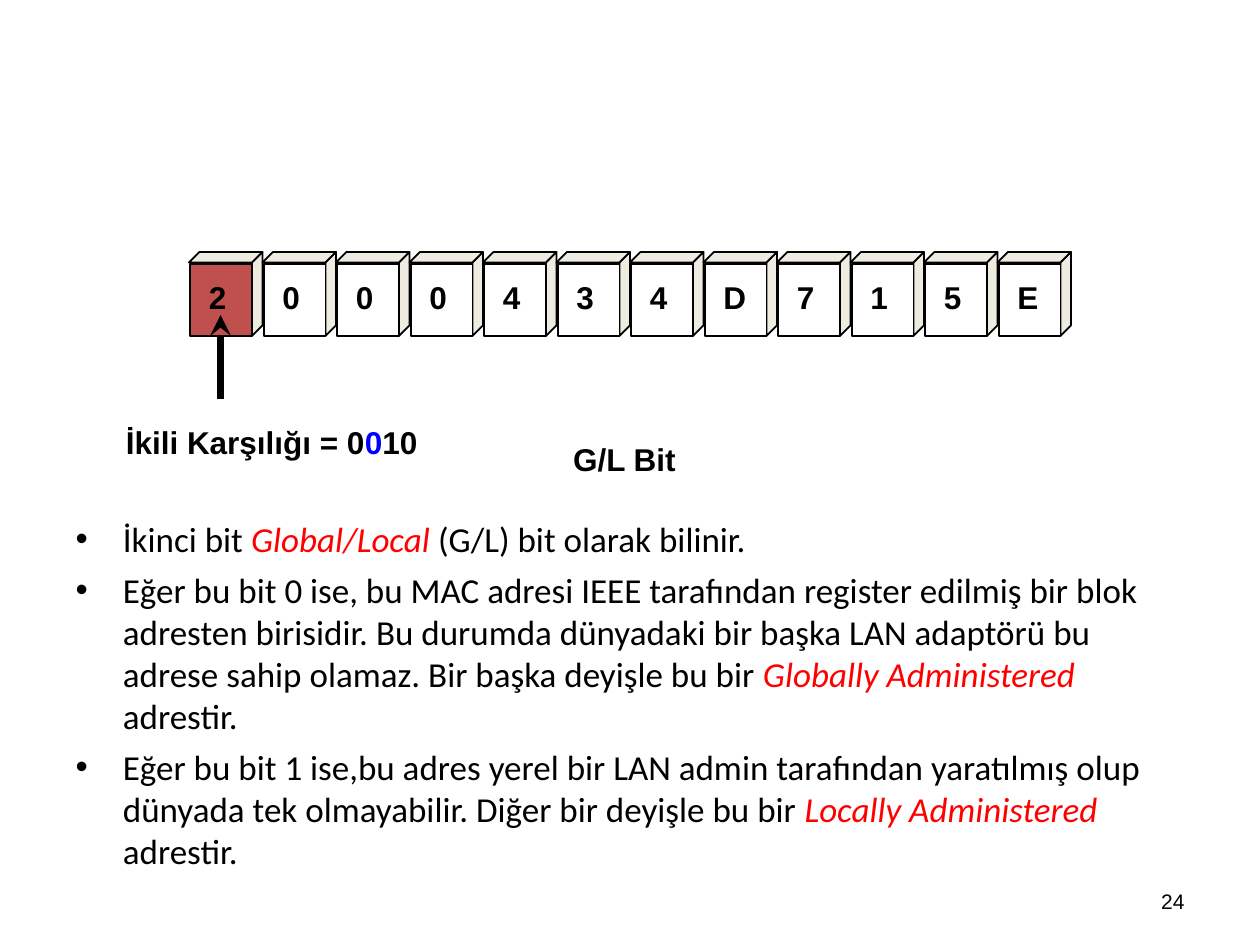
from lxml import etree
from pptx import Presentation
from pptx.dml.color import RGBColor
from pptx.enum.shapes import MSO_CONNECTOR, MSO_SHAPE
from pptx.enum.text import MSO_ANCHOR, MSO_AUTO_SIZE, PP_ALIGN
from pptx.oxml.ns import qn
from pptx.util import Inches, Pt

RECTANGLE = MSO_SHAPE.RECTANGLE
STRAIGHT = MSO_CONNECTOR.STRAIGHT
RIGHT = PP_ALIGN.RIGHT
MIDDLE = MSO_ANCHOR.MIDDLE
NO_AUTOFIT = MSO_AUTO_SIZE.NONE

BLACK, WHITE, BLUE, RED = "000000", "FFFFFF", "0000FF", "FF0000"
BRICK, IVORY = "C0504D", "EEECE1"

MAC_DIGITS = "2000434D715E"
ROW_LEFT, ROW_TOP = 1.5, 2
PITCH = 7 / 12   # distance from one cube to the next
DEPTH = 1 / 12   # offset of the slanted faces
FRONT_W, FRONT_H = 0.5, 7 / 12
DIGIT_WIDTHS = {"D": 0.38, "E": 0.37}

# Each paragraph: text before, highlighted term, text after
BULLETS = [
    ("İkinci bit ", "Global/Local", " (G/L) bit olarak bilinir."),
    ("Eğer bu bit 0 ise, bu MAC adresi IEEE tarafından register edilmiş bir blok "
     "adresten birisidir. Bu durumda dünyadaki bir başka LAN adaptörü bu adrese "
     "sahip olamaz. Bir başka deyişle bu bir ",
     "Globally Administered", " adrestir."),
    ("Eğer bu bit 1 ise,bu adres yerel bir LAN admin tarafından yaratılmış olup "
     "dünyada tek olmayabilir. Diğer bir deyişle bu bir ",
     "Locally Administered ", "adrestir."),
]


def rgb(hex_color):
    return RGBColor.from_string(hex_color)


def add_label(shapes, left, top, width, runs, size=18, bold=True):
    """Add a one-line text box from (text, colour) runs."""
    label = shapes.add_textbox(Inches(left), Inches(top), Inches(width), Inches(0.4))
    label.text_frame.word_wrap = False
    paragraph = label.text_frame.paragraphs[0]
    paragraph.font.name = "Arial"
    paragraph.font.size = Pt(size)
    paragraph.font.bold = bold
    for text, color in runs:
        run = paragraph.add_run()
        run.text = text
        run.font.color.rgb = rgb(color)
    return label


def style_face(face, fill):
    face.shadow.inherit = False
    face.fill.solid()
    face.fill.fore_color.rgb = rgb(fill)
    face.line.color.rgb = rgb(BLACK)
    face.line.width = Pt(1)


def add_slanted_face(shapes, points):
    start, *others = [(Inches(x), Inches(y)) for x, y in points]
    outline = shapes.build_freeform(*start)
    outline.add_line_segments(others, close=True)
    style_face(outline.convert_to_shape(), IVORY)


def add_cube(shapes, left, digit, front_fill):
    right, front_top = left + FRONT_W, ROW_TOP + DEPTH
    bottom = front_top + FRONT_H
    # Side, front and top faces
    add_slanted_face(shapes, [(right, bottom), (right, front_top),
                              (right + DEPTH, ROW_TOP), (right + DEPTH, bottom - DEPTH)])
    front = shapes.add_shape(RECTANGLE, Inches(left + 0.01), Inches(front_top + 0.01),
                             Inches(FRONT_W - 0.01), Inches(FRONT_H - 0.01))
    style_face(front, front_fill)
    add_slanted_face(shapes, [(left, front_top), (left + DEPTH, ROW_TOP),
                              (right + DEPTH, ROW_TOP), (right, front_top)])
    add_label(shapes, left + 0.06, 2.16, DIGIT_WIDTHS.get(digit, 0.34), [(digit, BLACK)])


def add_arrow(shapes, x, start_y, end_y):
    arrow = shapes.add_connector(STRAIGHT, Inches(x), Inches(start_y),
                                 Inches(x), Inches(end_y))
    arrow.line.color.rgb = rgb(BLACK)
    arrow.line.width = Pt(4)
    etree.SubElement(arrow.line._get_or_add_ln(), qn("a:tailEnd"), type="stealth")
    etree.SubElement(arrow._element.spPr, qn("a:effectLst"))


def fill_body(body):
    body.left, body.top = Inches(0.5), Inches(4.06)
    body.width, body.height = Inches(9), Inches(3.07)
    frame = body.text_frame
    frame.auto_size = NO_AUTOFIT
    for index, parts in enumerate(BULLETS):
        paragraph = frame.add_paragraph() if index else frame.paragraphs[0]
        paragraph.space_before = Pt(5 if index else 0)
        paragraph.font.name = "Calibri"
        paragraph.font.size = Pt(20)
        for text in parts:
            is_term = text == parts[1]
            run = paragraph.add_run()
            run.text = text
            run.font.italic = is_term
            run.font.color.rgb = rgb(RED if is_term else BLACK)


def main():
    prs = Presentation()
    prs.slide_width, prs.slide_height = Inches(10), Inches(7.5)
    slide = prs.slides.add_slide(prs.slide_layouts[1])
    shapes = slide.shapes

    # The slide has no title
    title = shapes.title._element
    title.getparent().remove(title)

    # Explanation and slide number
    fill_body(slide.placeholders[1])
    number = add_label(shapes, 7.17, 6.95, 2.33, [("24", BLACK)], size=12, bold=False)
    number.text_frame.word_wrap = True
    number.text_frame.vertical_anchor = MIDDLE
    number.text_frame.paragraphs[0].alignment = RIGHT

    # Captions under the address
    add_label(shapes, 0.9, 3.31, 2.52,
              [("İkili Karşılığı = 0", BLACK), ("0", BLUE), ("10", BLACK)])
    add_label(shapes, 4.45, 3.44, 1.02, [("G/L Bit", BLACK)])

    # MAC address as a row of cubes, first digit highlighted
    address = shapes.add_group_shape()
    for index, digit in enumerate(MAC_DIGITS):
        add_cube(address.shapes, ROW_LEFT + index * PITCH, digit,
                 WHITE if index else BRICK)
    add_arrow(shapes, 1.75, 3.17, 2.5)

    prs.save("out.pptx")


if __name__ == "__main__":
    main()
